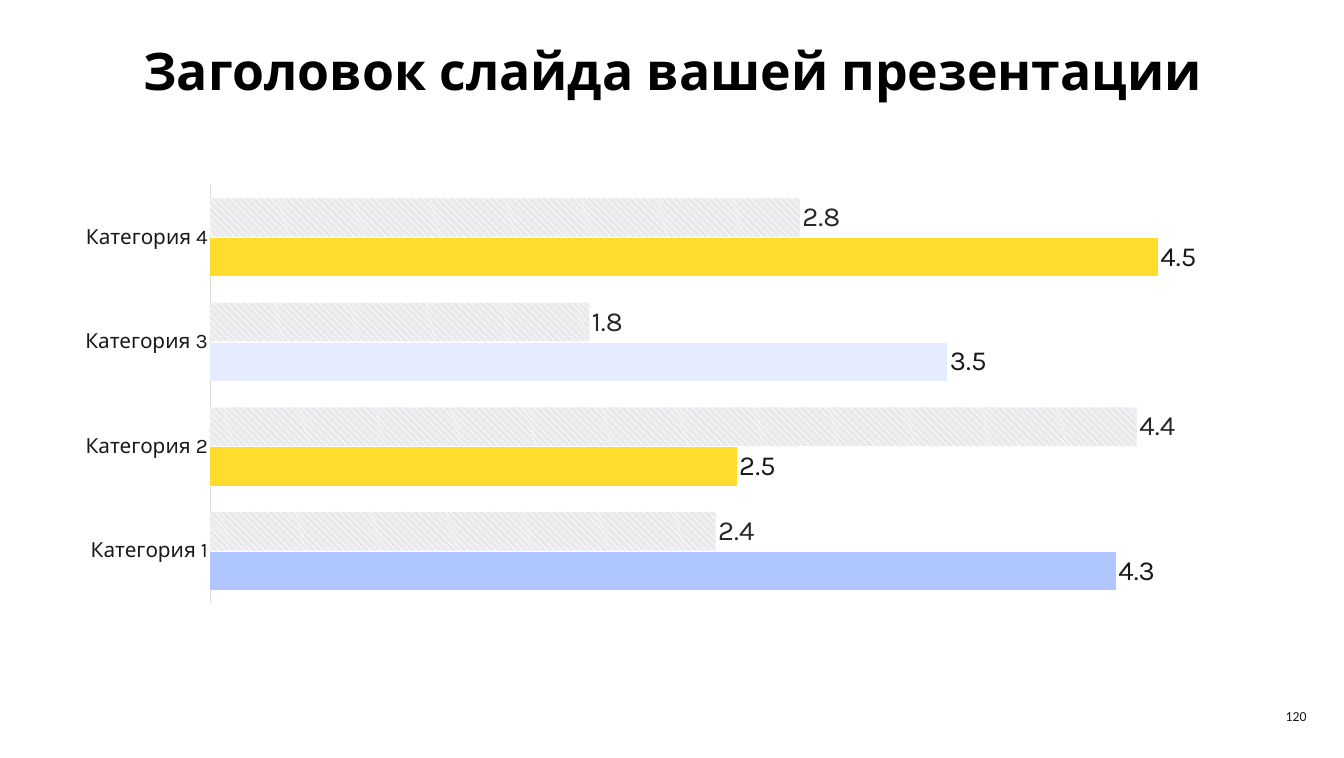
"""Build a title slide with a clustered bar chart of four categories."""
from lxml import etree
from pptx import Presentation
from pptx import util as u
from pptx.chart.data import CategoryChartData
from pptx.dml.color import RGBColor
from pptx.enum import chart as ch, dml, text
from pptx.oxml.ns import qn

TITLE = "Заголовок слайда вашей презентации"
PAGE = "120"
CATEGORIES = [f"Категория {n}" for n in range(1, 5)]
SERIES = {"Series 1": (4.3, 2.5, 3.5, 4.5), "Series 2": (2.4, 4.4, 1.8, 2.8)}
POINT_COLORS = {0: "blue", 2: "pale"}
COLORS = {
    "black": "000000", "ink": "1A1919", "label": "282828", "axis": "DDDCDC",
    "yellow": "FFDD2C", "blue": "B0C6FF", "pale": "E5ECFF",
    "hatch": "B4B4BC", "white": "FFFFFF",
}
BOXES = {
    "title": (3.78, 1.57, 47.52, 2.82),
    "chart": (2.59, 7.21, 50.11, 17.83),
    "page": (50.75, 28.68, 2.97, 1.19),
}
PLOT = {"x": 0.12, "y": 0.02, "w": 0.86, "h": 0.96}
FRAME = dict(word_wrap=True, auto_size=text.MSO_AUTO_SIZE.NONE)


def box(name):
    return [u.Cm(v) for v in BOXES[name]]


def rgb(name):
    return RGBColor.from_string(COLORS[name])


def apply(obj, **values):
    for key, value in values.items():
        setattr(obj, key, value)


def style(font, name, size, color, bold=False):
    apply(font, name=name, size=u.Pt(size), bold=bold)
    font.color.rgb = rgb(color)


def paint(fill, color):
    fill.solid()
    fill.fore_color.rgb = rgb(color)


def write(tf, words, align, *font, **frame):
    apply(tf, **FRAME, **frame)
    p = tf.paragraphs[0]
    p.alignment = align
    r = p.add_run()
    r.text = words
    style(r.font, *font)


def place_plot(chart):
    area = chart._chartSpace.chart.plotArea
    for old in area.findall(qn("c:layout")):
        area.remove(old)
    layout = etree.Element(qn("c:layout"))
    manual = etree.SubElement(layout, qn("c:manualLayout"))
    settings = {"layoutTarget": "inner", "xMode": "edge", "yMode": "edge", **PLOT}
    for tag, value in settings.items():
        etree.SubElement(manual, qn(f"c:{tag}")).set("val", str(value))
    area.insert(0, layout)


def add_bars(s):
    data = CategoryChartData()
    data.categories = CATEGORIES
    for name, values in SERIES.items():
        data.add_series(name, values)
    chart = s.shapes.add_chart(ch.XL_CHART_TYPE.BAR_CLUSTERED, *box("chart"), data).chart
    apply(chart, has_legend=False, has_title=False)
    style(chart.font, "Calibri", 10, "ink")
    place_plot(chart)

    apply(chart.value_axis, visible=False, has_major_gridlines=False,
          minimum_scale=0, maximum_scale=5)
    axis = chart.category_axis
    apply(axis, major_tick_mark=ch.XL_TICK_MARK.NONE, has_major_gridlines=False)
    style(axis.tick_labels.font, "Karla", 24, "ink")
    axis.format.line.width = u.Pt(0.75)
    axis.format.line.color.rgb = rgb("axis")

    plot = chart.plots[0]
    apply(plot, gap_width=68, overlap=-3, vary_by_categories=False)
    solid, hatched = plot.series
    paint(solid.format.fill, "yellow")
    for index, color in POINT_COLORS.items():
        paint(solid.points[index].format.fill, color)
    fill = hatched.format.fill
    fill.patterned()
    fill.pattern = dml.MSO_PATTERN.LIGHT_DOWNWARD_DIAGONAL
    fill.fore_color.rgb = rgb("hatch")
    fill.back_color.rgb = rgb("white")
    for series, color in ((solid, "ink"), (hatched, "label")):
        series.invert_if_negative = False
        labels = series.data_labels
        apply(labels, show_value=True, position=ch.XL_LABEL_POSITION.OUTSIDE_END)
        style(labels.font, "Karla", 32, color)


def main():
    prs = Presentation()
    apply(prs, slide_width=u.Cm(55), slide_height=u.Cm(31))
    s = prs.slides.add_slide(prs.slide_layouts[5])
    paint(s.background.fill, "white")

    add_bars(s)

    title = s.shapes.title
    apply(title, **dict(zip(("left", "top", "width", "height"), box("title"))))
    write(title.text_frame, TITLE, text.PP_ALIGN.CENTER, "Karla", 60, "black", True,
          vertical_anchor=text.MSO_ANCHOR.TOP, margin_left=0, margin_right=0,
          margin_top=0, margin_bottom=0)

    page = s.shapes.add_textbox(*box("page"))
    write(page.text_frame, PAGE, text.PP_ALIGN.RIGHT, "Calibri", 16, "ink",
          vertical_anchor=text.MSO_ANCHOR.MIDDLE)

    prs.save("out.pptx")


if __name__ == "__main__":
    main()
